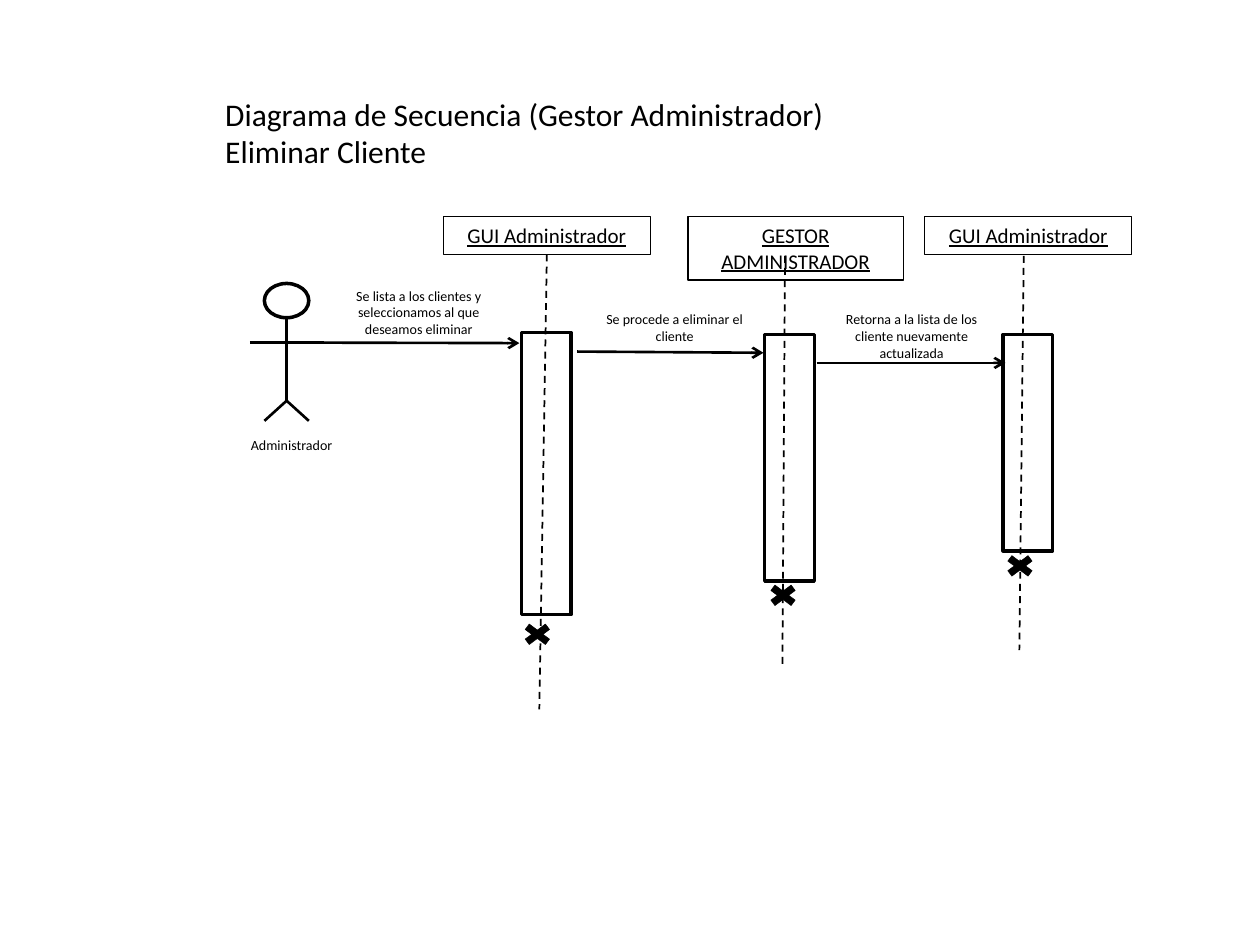
"""Build the sequence diagram slide for deleting a client."""
from lxml.etree import SubElement
from pptx import Presentation
from pptx.dml.color import RGBColor
from pptx.enum.dml import MSO_LINE
from pptx.enum.shapes import MSO_CONNECTOR, MSO_SHAPE
from pptx.enum.text import MSO_ANCHOR, MSO_AUTO_SIZE, PP_ALIGN
from pptx.oxml.ns import qn
from pptx.util import Pt

BLACK = RGBColor(0, 0, 0)
WHITE = RGBColor(255, 255, 255)
FONT = "Calibri"

TITLE = ["Diagrama de Secuencia (Gestor Administrador)", "Eliminar Cliente"]
HEAD_TOP = 123.8
CROSS_W, CROSS_H = 22.3, 16.6
BAR_W = 28.4
PARTICIPANTS = [
    dict(name="GUI Administrador", head=(253.4, 118.2, 21.8),
         life=(312.5, 145.4, 308.2, 405.4), bar=(298, 190, 161.3), cross=(295.9, 354.2)),
    dict(name="GESTOR ADMINISTRADOR", head=(393.1, 123.1, 36.3),
         life=(448.6, 146.2, 447.1, 382.3), bar=(437, 191.2, 140.7), cross=(436.3, 331.9)),
    dict(name="GUI Administrador", head=(528.5, 118.2, 21.8),
         life=(585, 146.2, 582.5, 371.5), bar=(573.2, 191.2, 123.6), cross=(571.7, 315.1)),
]
MESSAGES = [
    ("Se lista a los clientes y seleccionamos al que deseamos eliminar",
     (188.6, 160.6, 101.5, 36), (182.2, 195.8, 296.8, 196.1)),
    ("Se procede a eliminar el cliente",
     (334.8, 174.2, 101.5, 26.6), (329.8, 200.9, 436.3, 201.6)),
    ("Retorna a la lista de los cliente nuevamente actualizada",
     (470.2, 174.2, 101.5, 36), (466.6, 207.4, 574.6, 207.4)),
]
ACTOR = "Administrador"
ACTOR_X, NECK_Y, HIP_Y, FOOT_Y, ARM_Y = 163.8, 181.6, 229, 240.5, 195.8
HEAD_W, HEAD_H = 25.4, 19.6
LIMBS = [
    (ACTOR_X, NECK_Y, ACTOR_X, HIP_Y),
    (ACTOR_X, HIP_Y, ACTOR_X - HEAD_W / 2, FOOT_Y),
    (ACTOR_X, HIP_Y, ACTOR_X + HEAD_W / 2, FOOT_Y),
    (142.8, ARM_Y, 185, ARM_Y),
]


def write(sp, lines, size, align=PP_ALIGN.CENTER, underline=None):
    tf = sp.text_frame
    tf.word_wrap = True
    tf.auto_size = MSO_AUTO_SIZE.NONE
    tf.vertical_anchor = MSO_ANCHOR.TOP
    for i, line in enumerate(lines):
        p = tf.add_paragraph() if i else tf.paragraphs[0]
        p.alignment = align
        r = p.add_run()
        r.text = line
        r.font.name = FONT
        r.font.size = Pt(size)
        r.font.color.rgb = BLACK
        r.font.underline = underline


def add_shape(kind, box, width, fill=None):
    sp = s.shapes.add_shape(kind, *map(Pt, box))
    sp.shadow.inherit = False
    if fill is None:
        sp.fill.background()
    else:
        sp.fill.solid()
        sp.fill.fore_color.rgb = fill
    sp.line.color.rgb = BLACK
    sp.line.width = Pt(width)
    return sp


def add_line(ends, width=1.5, dash=None, arrow=False):
    line = s.shapes.add_connector(MSO_CONNECTOR.STRAIGHT, *map(Pt, ends))
    line.line.color.rgb = BLACK
    line.line.width = Pt(width)
    if dash:
        line.line.dash_style = dash
    if arrow:
        SubElement(line.line._get_or_add_ln(), qn("a:tailEnd"), type="arrow")
    SubElement(line._element.spPr, qn("a:effectLst"))


def add_label(text, box):
    write(s.shapes.add_textbox(*map(Pt, box)), [text], 8)


prs = Presentation()
prs.slide_width, prs.slide_height = Pt(720), Pt(540)
s = prs.slides.add_slide(prs.slide_layouts[5])

title = s.shapes.title
title.left, title.top, title.width, title.height = map(Pt, (121.5, 50.5, 371.5, 50.9))
write(title, TITLE, 18, PP_ALIGN.LEFT)

for part in PARTICIPANTS:
    x, w, h = part["head"]
    head = add_shape(MSO_SHAPE.RECTANGLE, (x, HEAD_TOP, w, h), 0.75)
    write(head, [part["name"]], 12, underline=True)
    add_line(part["life"], 1, MSO_LINE.DASH)
    x, y, h = part["bar"]
    add_shape(MSO_SHAPE.RECTANGLE, (x, y, BAR_W, h), 2)
    add_shape(MSO_SHAPE.MATH_MULTIPLY, (*part["cross"], CROSS_W, CROSS_H), 0.25, BLACK)

add_shape(MSO_SHAPE.OVAL, (ACTOR_X - HEAD_W / 2, NECK_Y - HEAD_H, HEAD_W, HEAD_H), 2, WHITE)
for limb in LIMBS:
    add_line(limb)
add_label(ACTOR, (112.3, 246.2, 108.7, 17))

for text, box, ends in MESSAGES:
    add_line(ends, arrow=True)
    add_label(text, box)

prs.save("out.pptx")
